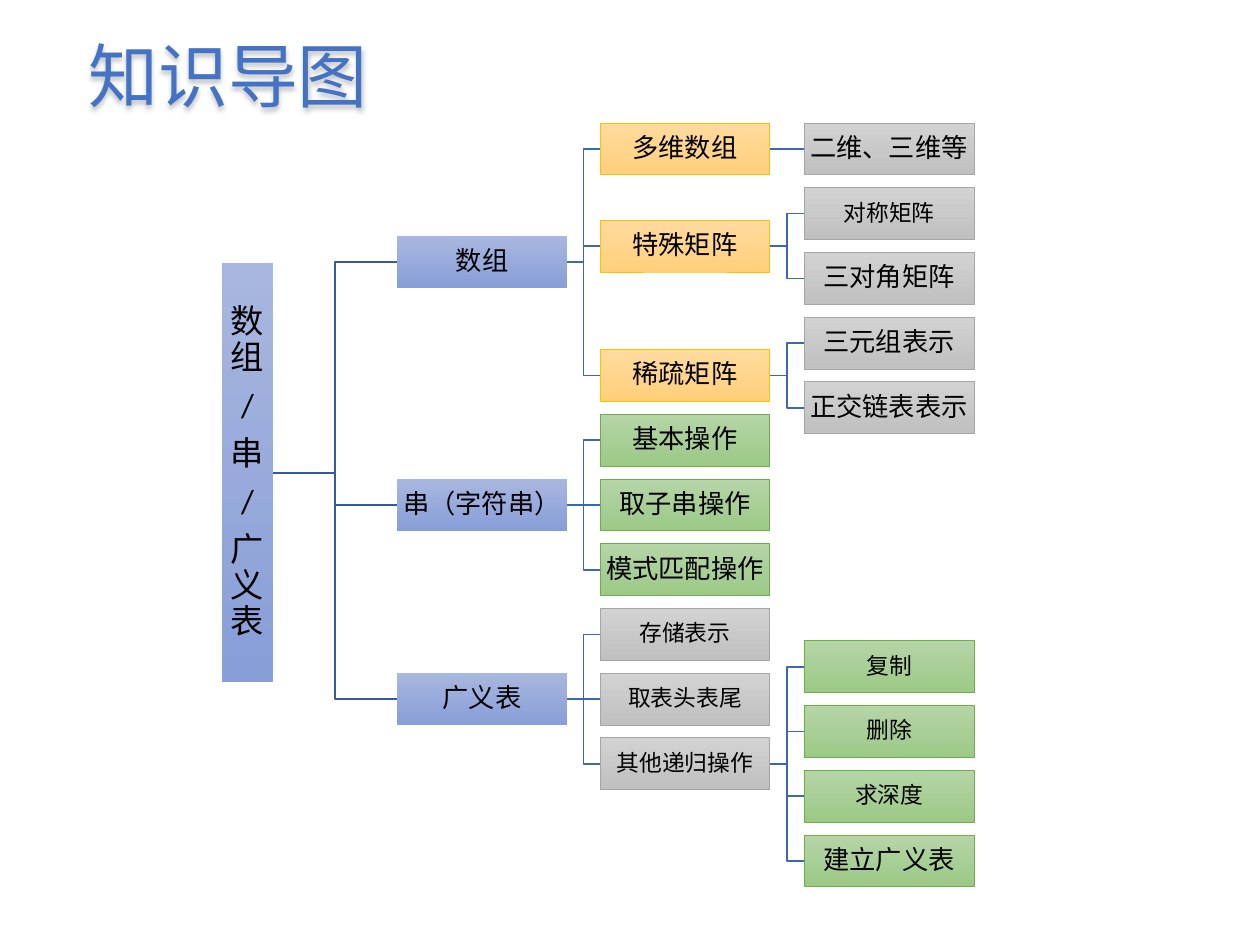
from collections import namedtuple
from dataclasses import dataclass

from lxml import etree
from pptx import Presentation
from pptx import util as u
from pptx.dml.color import RGBColor
from pptx.enum import shapes, text
from pptx.oxml import parse_xml
from pptx.oxml.ns import nsdecls, qn

PX = u.Inches(1) / 126
BLACK = RGBColor(0x00, 0x00, 0x00)
TITLE_BLUE = RGBColor(0x44, 0x72, 0xC4)
ROOT_LINK = RGBColor(0x36, 0x5B, 0x9D)
BRANCH_LINK = RGBColor(0x3E, 0x67, 0xB2)

Box = namedtuple("Box", "left top width height")
Style = namedtuple("Style", "light dark border")
BLUE = Style(RGBColor(0xA8, 0xB7, 0xDF), RGBColor(0x88, 0x9E, 0xD7), None)
ORANGE = Style(RGBColor(0xFF, 0xDB, 0x9E), RGBColor(0xFF, 0xD0, 0x7C), RGBColor(0xFF, 0xC0, 0x00))
GREY = Style(RGBColor(0xD2, 0xD2, 0xD2), RGBColor(0xC0, 0xC0, 0xC0), RGBColor(0xA5, 0xA5, 0xA5))
GREEN = Style(RGBColor(0xB5, 0xD5, 0xA7), RGBColor(0x9C, 0xC9, 0x87), RGBColor(0x70, 0xAD, 0x47))

NODE_WIDTH, NODE_HEIGHT = 170, 52
ROOT_WIDTH, ROOT_HEIGHT = 51, 419
COLUMN_LEFTS = (0, 175, 378, 582)
LAST_ROW = 11


@dataclass
class Node:
    label: str
    style: Style
    children: tuple = ()
    row: float = None
    size: int = 15
    font: str = "Calibri"

    def __post_init__(self):
        if self.row is None:
            self.row = (self.children[0].row + self.children[-1].row) / 2


ARRAYS = Node("数组", BLUE, (
    Node("多维数组", ORANGE, (Node("二维、三维等", GREY, row=0),)),
    Node("特殊矩阵", ORANGE, (
        Node("对称矩阵", GREY, row=1, size=13),
        Node("三对角矩阵", GREY, row=2))),
    Node("稀疏矩阵", ORANGE, (
        Node("三元组表示", GREY, row=3),
        Node("正交链表表示", GREY, row=4))),
))
STRINGS = Node("串（字符串）", BLUE, (
    Node("基本操作", GREEN, row=4.5),
    Node("取子串操作", GREEN, row=5.5),
    Node("模式匹配操作", GREEN, row=6.5),
))
LISTS = Node("广义表", BLUE, (
    Node("存储表示", GREY, row=7.5, size=13),
    Node("取表头表尾", GREY, row=8.5, size=13),
    Node("其他递归操作", GREY, (
        Node("复制", GREEN, row=8, size=13, font="DejaVu Sans"),
        Node("删除", GREEN, row=9, size=13, font="DejaVu Sans"),
        Node("求深度", GREEN, row=10, size=13, font="DejaVu Sans"),
        Node("建立广义表", GREEN, row=11)), size=13),
))
ROOT = Node("数组\n/\n串\n/\n广义表", BLUE, (ARRAYS, STRINGS, LISTS), row=5, size=19)


def emu(pixels):
    return u.Emu(round(pixels * PX))


def write_text(shape, content, size, font="Calibri", color=BLACK, margin=1,
               line_spacing=1.0, space_after=0):
    frame = shape.text_frame
    frame.word_wrap = True
    frame.vertical_anchor = text.MSO_ANCHOR.MIDDLE
    frame.margin_left = frame.margin_right = emu(margin)
    frame.margin_top = frame.margin_bottom = emu(margin)
    for index, line in enumerate(content.split("\n")):
        paragraph = frame.paragraphs[0] if index == 0 else frame.add_paragraph()
        paragraph.alignment = text.PP_ALIGN.CENTER
        paragraph.line_spacing = line_spacing
        paragraph.space_after = u.Pt(space_after)
        run = paragraph.add_run()
        run.text = line
        run.font.size = u.Pt(size)
        run.font.name = font
        run.font.color.rgb = color


def add_title(slide, box, content):
    shape = slide.shapes.add_textbox(*map(emu, box))
    write_text(shape, content, size=40, color=TITLE_BLUE, margin=6)
    shape._element.spPr.append(parse_xml(
        f'<a:effectLst {nsdecls("a")}>'
        '<a:outerShdw blurRad="38100" dist="25400" dir="5400000" algn="ctr" rotWithShape="0">'
        '<a:srgbClr val="6E747A"><a:alpha val="43000"/></a:srgbClr>'
        '</a:outerShdw></a:effectLst>'))


def node_box(node, depth, region):
    """Place a node by its column and row inside the region."""
    width, height = (NODE_WIDTH, NODE_HEIGHT) if depth else (ROOT_WIDTH, ROOT_HEIGHT)
    row_step = (region.height - NODE_HEIGHT) / LAST_ROW
    middle = region.top + NODE_HEIGHT / 2 + node.row * row_step
    return Box(region.left + COLUMN_LEFTS[depth], middle - height / 2, width, height)


def add_link(slide, parent, child, color):
    start = parent.top + parent.height / 2
    end = child.top + child.height / 2
    level = abs(start - end) < 1
    kind = shapes.MSO_CONNECTOR.STRAIGHT if level else shapes.MSO_CONNECTOR.ELBOW
    link = slide.shapes.add_connector(
        kind, emu(parent.left + parent.width), emu(start), emu(child.left), emu(end))
    link.line.color.rgb = color
    link.line.width = u.Pt(1)
    etree.SubElement(link._element.spPr, qn("a:effectLst"))


def add_links(slide, node, depth, region):
    parent = node_box(node, depth, region)
    for child in node.children:
        add_link(slide, parent, node_box(child, depth + 1, region),
                 BRANCH_LINK if depth else ROOT_LINK)
        add_links(slide, child, depth + 1, region)


def add_nodes(slide, node, depth, region):
    shape = slide.shapes.add_shape(
        shapes.MSO_SHAPE.RECTANGLE, *map(emu, node_box(node, depth, region)))
    shape.shadow.inherit = False
    shape.fill.gradient()
    shape.fill.gradient_angle = 270
    for stop, color in zip(shape.fill.gradient_stops, node.style[:2]):
        stop.color.rgb = color
    for stop, position in zip(shape.fill.gradient_stops, (0, 1)):
        stop.position = position
    if node.style.border is None:
        shape.line.fill.background()
    else:
        shape.line.color.rgb = node.style.border
        shape.line.width = u.Pt(0.5)
    write_text(shape, node.label, size=node.size, font=node.font,
               line_spacing=0.9, space_after=round(node.size * 0.35))
    for child in node.children:
        add_nodes(slide, child, depth + 1, region)


def add_mind_map(slide, region, root):
    """Draw all links first, so that the nodes lie over them."""
    add_links(slide, root, 0, region)
    add_nodes(slide, root, 0, region)


def main():
    presentation = Presentation()
    presentation.slide_width = emu(1260)
    presentation.slide_height = emu(945)
    slide = presentation.slides.add_slide(presentation.slide_layouts[6])
    add_mind_map(slide, Box(222, 123, 752, 764), ROOT)
    add_title(slide, Box(54, 26, 348, 97), "知识导图")
    presentation.save("out.pptx")


if __name__ == "__main__":
    main()
